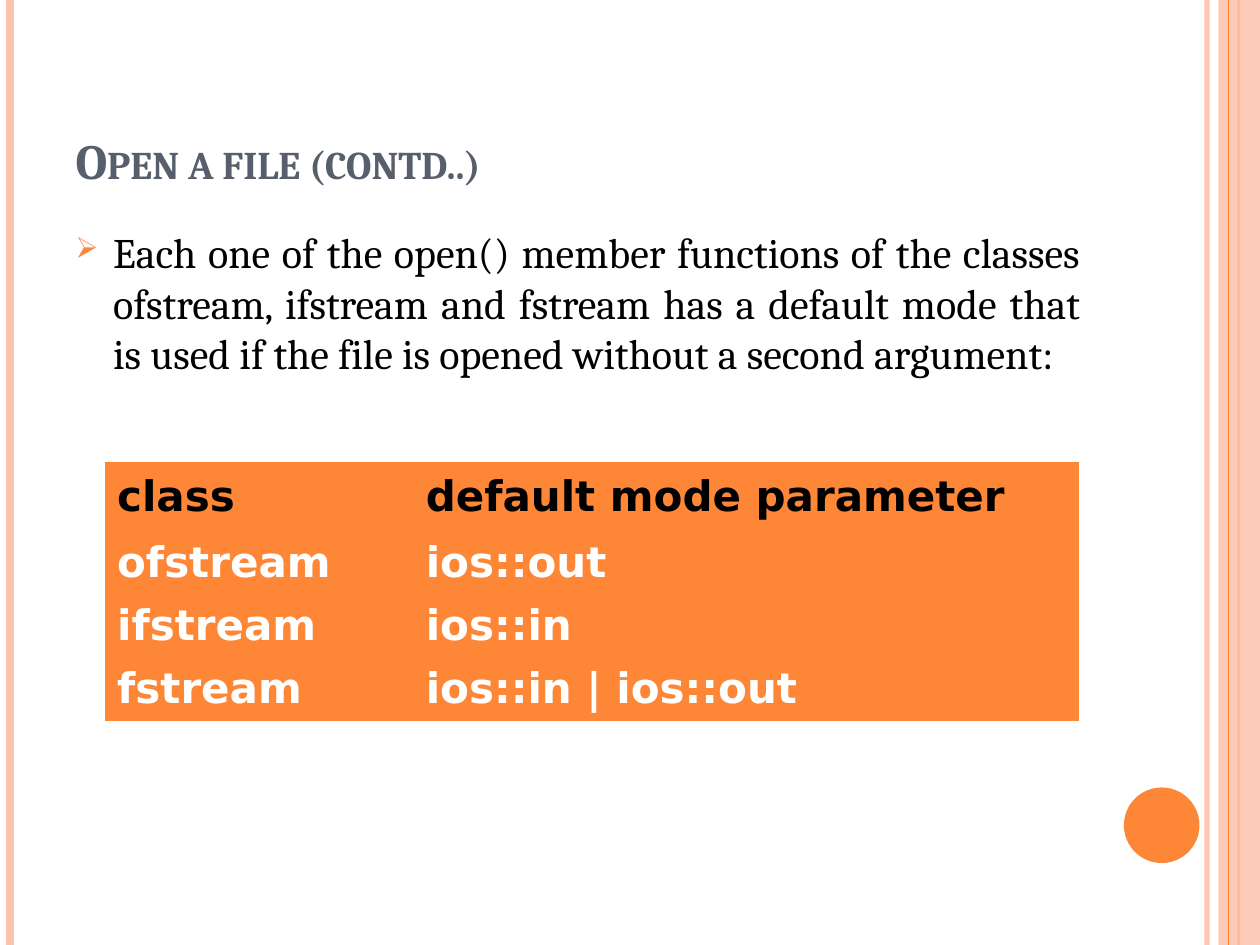
from dataclasses import dataclass

from lxml import etree
from pptx import Presentation
from pptx import util as u
from pptx.dml import color as col
from pptx.enum import shapes, text
from pptx.oxml import ns

WIDE, HIGH = 10, 7.5


@dataclass(frozen=True)
class Theme:
    accent: str = "FE8637"
    pale: str = "FEC3AE"
    slate: str = "575F6D"
    ink: str = "000000"
    white: str = "FFFFFF"
    serif: str = "Cambria"
    sans: str = "DejaVu Sans"
    head: int = 28
    body: int = 24


@dataclass(frozen=True)
class Rail:
    x: float
    hue: str
    width: float
    alpha: int = 100


T = Theme()
RAILS = [
    Rail(9.58, T.pale, 3, 93),
    Rail(0.08, T.pale, 4.5),
    Rail(9.83, T.accent, 1.5),
    Rail(9.75, T.accent, 0.75),
]
ROWS = [
    ("class", "default mode parameter"),
    ("ofstream", "ios::out"),
    ("ifstream", "ios::in"),
    ("fstream", "ios::in | ios::out"),
]
COLS = (2.45, 5.28)
TALL = (0.55, 0.49, 0.49, 0.49)


def box(*vals: float) -> list:
    return [u.Inches(v) for v in vals]


def rgb(hue: str) -> col.RGBColor:
    return col.RGBColor.from_string(hue)


def fade(fill, alpha: int) -> None:
    """Set the opacity, in percent, of a solid fill element."""
    if alpha < 100:
        tone = fill.find(".//" + ns.qn("a:srgbClr"))
        etree.SubElement(tone, ns.qn("a:alpha")).set("val", str(alpha * 1000))


def write(para, words: str, size: int, face: str, hue: str, bold: bool = False):
    run = para.add_run()
    run.text = words
    run.font.size, run.font.name, run.font.bold = u.Pt(size), face, bold
    run.font.color.rgb = rgb(hue)
    return run


def rail(slide, item: Rail) -> None:
    line = slide.shapes.add_connector(
        shapes.MSO_CONNECTOR.STRAIGHT, *box(item.x, 0, item.x, HIGH))
    line.line.color.rgb = rgb(item.hue)
    line.line.width = u.Pt(item.width)
    props = line._element.spPr
    fade(props, item.alpha)
    etree.SubElement(props, ns.qn("a:effectLst"))


def block(slide, kind, place: list, hue: str, alpha: int = 100) -> None:
    shape = slide.shapes.add_shape(kind, *place)
    shape.shadow.inherit = False
    shape.fill.solid()
    shape.fill.fore_color.rgb = rgb(hue)
    shape.line.fill.background()
    fade(shape._element.spPr, alpha)


def bullet(para, mark: str) -> None:
    props = para._p.get_or_add_pPr()
    props.set("marL", str(u.Inches(0.3)))
    props.set("indent", str(-u.Inches(0.3)))
    tint = etree.SubElement(props, ns.qn("a:buClr"))
    etree.SubElement(tint, ns.qn("a:srgbClr")).set("val", T.accent)
    etree.SubElement(props, ns.qn("a:buSzPct")).set("val", "70000")
    etree.SubElement(props, ns.qn("a:buChar")).set("char", mark)


def title(slide, words: str) -> None:
    shape = slide.shapes.title
    shape.left, shape.top, shape.width, shape.height = box(0.5, 0.3, 8.17, 1.25)
    frame = shape.text_frame
    frame.vertical_anchor = text.MSO_ANCHOR.BOTTOM
    para = frame.paragraphs[0]
    para.alignment = text.PP_ALIGN.LEFT
    run = write(para, words, T.head, T.serif, T.slate, True)
    run.font._element.set("cap", "small")


def body(slide, words: str) -> None:
    frame = slide.shapes.add_textbox(*box(0.5, 1.75, 8.17, 5.33)).text_frame
    frame.word_wrap = True
    para = frame.paragraphs[0]
    para.alignment = text.PP_ALIGN.JUSTIFY
    para.space_before = u.Pt(6)
    bullet(para, "➢")
    write(para, words, T.body, T.serif, T.ink)


def table(slide) -> None:
    grid = slide.shapes.add_table(
        len(ROWS), len(COLS), *box(0.83, 3.67, sum(COLS), sum(TALL))).table
    for part, width in zip(grid.columns, COLS):
        part.width = u.Inches(width)
    for r, (row, high) in enumerate(zip(ROWS, TALL)):
        grid.rows[r].height = u.Inches(high)
        for c, words in enumerate(row):
            cell = grid.cell(r, c)
            cell.fill.solid()
            cell.fill.fore_color.rgb = rgb(T.accent)
            cell.vertical_anchor = text.MSO_ANCHOR.MIDDLE
            for side in ("lnL", "lnR", "lnT", "lnB"):
                edge = etree.Element(ns.qn("a:" + side), w="0")
                etree.SubElement(edge, ns.qn("a:noFill"))
                props = cell._tc.get_or_add_tcPr()
                props.insert(len(props) - 1, edge)
            hue = T.white if r else T.ink
            write(cell.text_frame.paragraphs[0], words, T.body, T.sans, hue, True)


def main() -> None:
    deck = Presentation()
    deck.slide_width, deck.slide_height = box(WIDE, HIGH)
    slide = deck.slides.add_slide(deck.slide_layouts[5])

    # Side rails, right band and corner disc
    for item in RAILS[:3]:
        rail(slide, item)
    block(slide, shapes.MSO_SHAPE.RECTANGLE, box(9.67, 0, 0.33, HIGH), T.pale, 87)
    rail(slide, RAILS[3])
    block(slide, shapes.MSO_SHAPE.OVAL, box(8.92, 6.25, 0.6, 0.6), T.accent)

    # Heading, text and table
    title(slide, "Open a file (contd..)")
    body(slide, "Each one of the open() member functions of the classes "
                "ofstream, ifstream and fstream has a default mode that "
                "is used if the file is opened without a second argument:")
    table(slide)
    deck.save("out.pptx")


if __name__ == "__main__":
    main()
